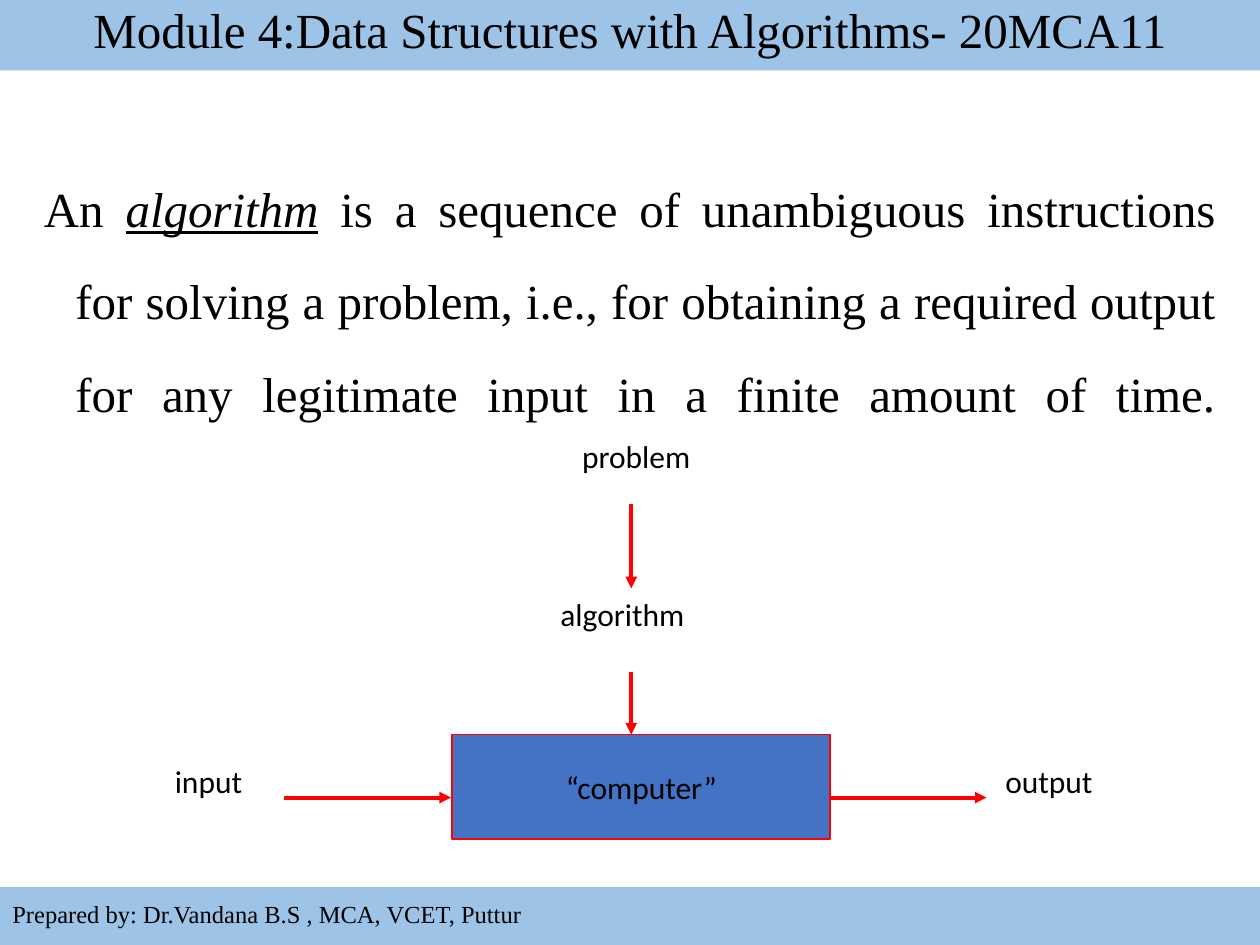
from lxml.etree import SubElement
from pptx import Presentation
from pptx.dml.color import RGBColor
from pptx.enum.shapes import MSO_CONNECTOR, MSO_SHAPE
from pptx.enum.text import MSO_ANCHOR, PP_ALIGN
from pptx.oxml.ns import qn
from pptx.util import Inches, Pt

SERIF, SANS = "Times New Roman", "Calibri"
BLACK, RED, BLUE, BAND = "000000", "FF0000", "4472C4", "9DC3E6"

TITLE = "Module 4:Data Structures with Algorithms- 20MCA11"
FOOTER = "Prepared by: Dr.Vandana B.S , MCA, VCET, Puttur"
DEFINITION = [  # text, emphasised
    ("An ", False),
    ("algorithm", True),
    (" is a sequence of unambiguous instructions for solving a problem, i.e., "
     "for obtaining a required output for any legitimate input in a finite "
     "amount of time.", False),
]
LABELS = [  # text, left, top, width
    ("problem", 4.35, 3.42, 1.4),
    ("algorithm", 4.34, 4.67, 1.2),
    ("input", 1, 6, 1.31),
    ("output", 7.67, 6, 1.31),
]
ARROWS = [  # x and y of start, x and y of end
    (5.01, 4, 5.01, 4.67),
    (5.01, 5.33, 5.01, 5.83),
    (2.25, 6.33, 3.58, 6.33),
    (6.58, 6.33, 7.83, 6.33),
]


def color(hex_string):
    return RGBColor.from_string(hex_string)


def inches(*lengths):
    return [Inches(length) for length in lengths]


def set_font(paragraph, name, size):
    paragraph.font.name = name
    paragraph.font.size = Pt(size)
    paragraph.font.color.rgb = color(BLACK)


def write(shape, text, name, size, align, anchor=MSO_ANCHOR.TOP, spacing=None):
    frame = shape.text_frame
    frame.word_wrap = True
    frame.vertical_anchor = anchor
    frame.text = text
    paragraph = frame.paragraphs[0]
    paragraph.alignment = align
    paragraph.line_spacing = spacing
    set_font(paragraph, name, size)


def paint(shape, fill):
    shape.fill.solid()
    shape.fill.fore_color.rgb = color(fill)


def add_box(slide, bounds, fill):
    box = slide.shapes.add_shape(MSO_SHAPE.RECTANGLE, *inches(*bounds))
    box.shadow.inherit = False
    paint(box, fill)
    box.line.fill.background()
    return box


def add_definition(slide):
    frame = slide.shapes.add_textbox(*inches(0.25, 1.1, 9.5, 2.3)).text_frame
    frame.word_wrap = True
    paragraph = frame.paragraphs[0]
    properties = paragraph._p.get_or_add_pPr()
    properties.set("marL", str(Inches(0.25)))
    properties.set("indent", str(Inches(-0.25)))
    paragraph.alignment = PP_ALIGN.JUSTIFY
    paragraph.line_spacing = 1.57
    set_font(paragraph, SERIF, 28)
    for text, emphasised in DEFINITION:
        run = paragraph.add_run()
        run.text = text
        if emphasised:
            run.font.italic = run.font.underline = True
    paragraph.add_line_break()  # stretches the last line to full width


def add_arrow(slide, points):
    arrow = slide.shapes.add_connector(MSO_CONNECTOR.STRAIGHT, *inches(*points))
    arrow.line.color.rgb = color(RED)
    arrow.line.width = Pt(2.25)
    SubElement(arrow.line._get_or_add_ln(), qn("a:tailEnd"), type="triangle")
    SubElement(arrow._element.spPr, qn("a:effectLst"))


presentation = Presentation()
presentation.slide_width, presentation.slide_height = inches(10, 7.5)
slide = presentation.slides.add_slide(presentation.slide_layouts[5])

title = slide.shapes.title
title.left, title.top, title.width, title.height = inches(0, 0, 10, 0.56)
paint(title, BAND)
write(title, TITLE, SERIF, 28, PP_ALIGN.CENTER, spacing=0.9)

add_definition(slide)

computer = add_box(slide, (3.59, 5.83, 3, 0.83), BLUE)
computer.line.color.rgb = color(RED)
computer.line.width = Pt(1)
write(computer, "“computer”", SANS, 18, PP_ALIGN.CENTER, MSO_ANCHOR.MIDDLE)

for text, left, top, width in LABELS:
    label = slide.shapes.add_textbox(*inches(left, top, width, 0.4))
    write(label, text, SANS, 18, PP_ALIGN.CENTER)
for points in ARROWS:
    add_arrow(slide, points)

footer = add_box(slide, (0, 7.04, 10, 0.46), BAND)
write(footer, FOOTER, SERIF, 14, PP_ALIGN.LEFT, MSO_ANCHOR.MIDDLE, 0.9)

presentation.save("out.pptx")
